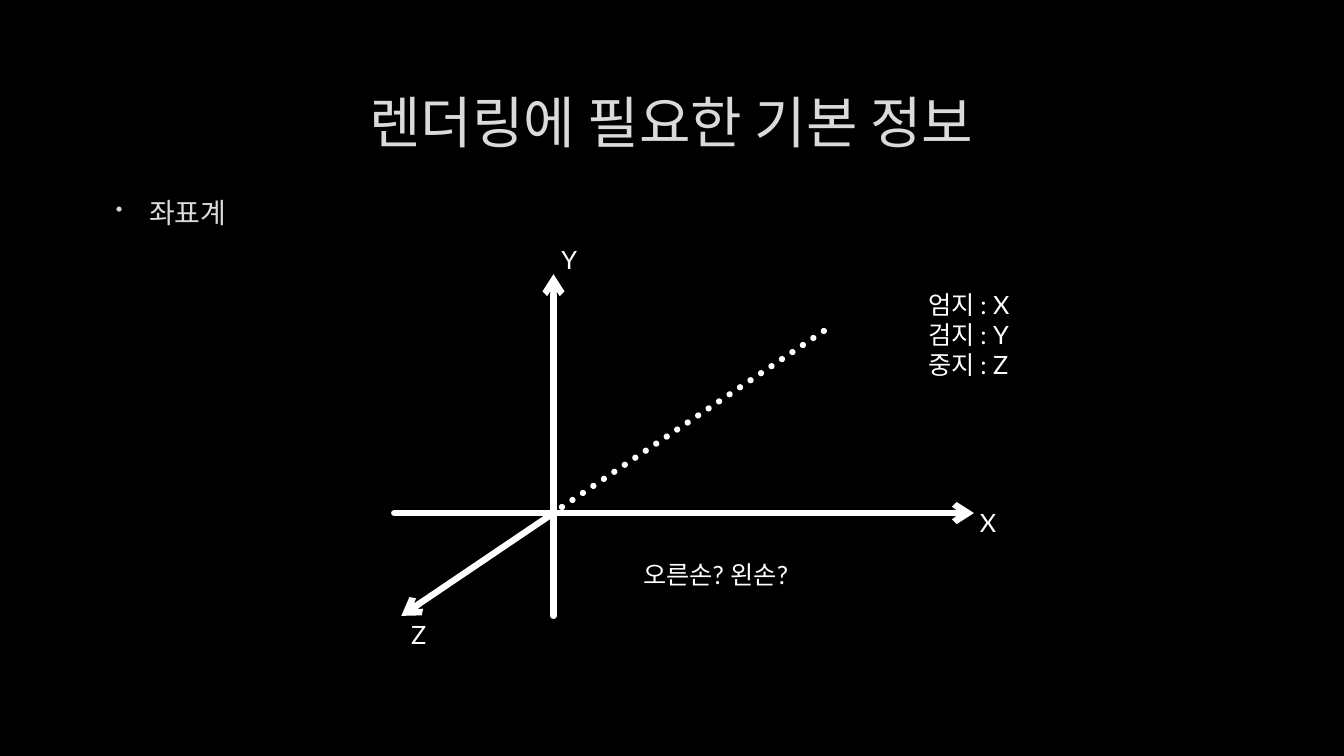
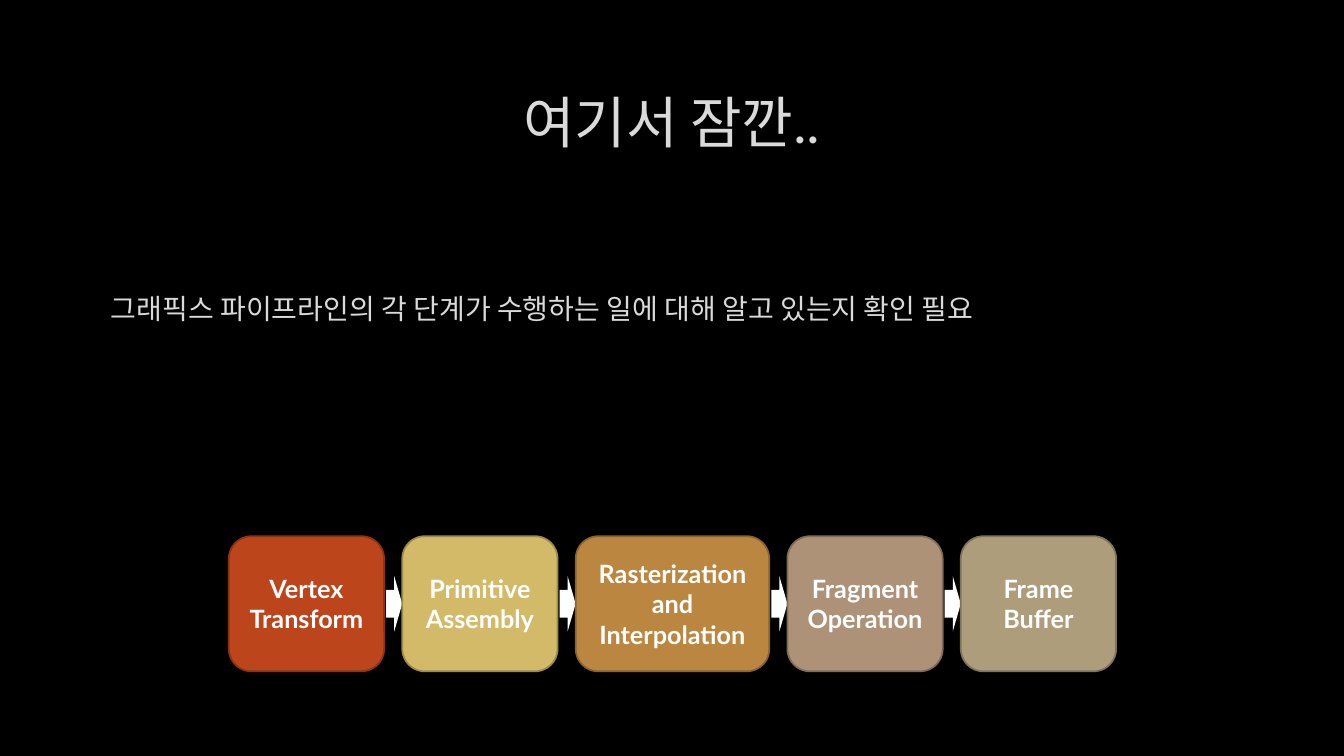
from dataclasses import dataclass

from lxml.etree import SubElement
from pptx import Presentation
from pptx.dml.color import RGBColor
from pptx.enum.dml import MSO_LINE
from pptx.enum.shapes import MSO_CONNECTOR, MSO_SHAPE
from pptx.enum.text import MSO_ANCHOR, PP_ALIGN
from pptx.oxml.ns import qn
from pptx.util import Inches, Pt


@dataclass(frozen=True)
class Theme:
    font: str = "Lato"
    background: str = "000000"
    heading: str = "DADADA"
    white: str = "FFFFFF"
    title_size: float = 40
    body_size: float = 20
    label_size: float = 18
    axis_width: float = 4.5
    border_width: float = 1.25


THEME = Theme()
CONTENT_LEFT, CONTENT_WIDTH = 1, 11.32

AXES = [
    ((3.91, 5.09), (9.66, 5.09), False),
    ((5.49, 6.11), (5.49, 2.72), False),
    ((5.47, 5.1), (8.25, 3.23), True),
    ((5.49, 5.09), (3.98, 6.11), False),
]
LABELS = [
    ("X", 9.62, 4.98, 0.43, 0.4),
    ("Z", 3.98, 6.09, 0.43, 0.4),
    ("Y", 5.47, 2.37, 0.43, 0.4),
    ("오른손? 왼손?", 6.28, 5.5, 2.05, 0.4),
    ("엄지 : X\v검지 : Y\n중지 : Z", 9.11, 2.82, 2.14, 1.01),
]
STAGES = [
    ("Vertex Transform", 1.54, "BC451B", "8B3314"),
    ("Primitive Assembly", 1.54, "D3BA68", "9C8A4D"),
    ("Rasterization and Interpolation", 1.92, "BB8640", "8A632F"),
    ("Fragment Operation", 1.54, "AD9277", "806C58"),
    ("Frame Buffer", 1.54, "AD9D7B", "80745B"),
]
STAGE_LEFT, STAGE_TOP, STAGE_HEIGHT, STAGE_GAP = 2.27, 5.32, 1.34, 0.18
ARROW_WIDTH, ARROW_HEIGHT = 0.16, 0.55


def rgb(value):
    return RGBColor.from_string(value)


def write(frame, text, size, color, align=PP_ALIGN.LEFT, bold=False):
    frame.word_wrap = True
    frame.text = text
    for paragraph in frame.paragraphs:
        paragraph.alignment = align
        for run in paragraph.runs:
            run.font.name = THEME.font
            run.font.size = Pt(size)
            run.font.bold = bold
            run.font.color.rgb = rgb(color)


def add_text(slide, text, left, top, width, height, size=THEME.label_size,
             color=THEME.white, align=PP_ALIGN.LEFT, anchor=MSO_ANCHOR.TOP):
    box = slide.shapes.add_textbox(*map(Inches, (left, top, width, height)))
    write(box.text_frame, text, size, color, align)
    box.text_frame.vertical_anchor = anchor
    return box.text_frame


def add_title(slide, text):
    add_text(slide, text, CONTENT_LEFT, 0.67, CONTENT_WIDTH, 1.06,
             THEME.title_size, THEME.heading, PP_ALIGN.CENTER, MSO_ANCHOR.MIDDLE)


def add_body(slide, text, top, height):
    return add_text(slide, text, CONTENT_LEFT, top, CONTENT_WIDTH, height,
                    THEME.body_size, THEME.heading)


def add_bullet(paragraph):
    properties = paragraph._p.get_or_add_pPr()
    properties.set("marL", str(Inches(0.38)))
    properties.set("indent", str(Inches(-0.33)))
    SubElement(properties, qn("a:buSzPct")).set("val", "70000")
    SubElement(properties, qn("a:buChar")).set("char", "•")


def add_axis(slide, start, end, dotted):
    axis = slide.shapes.add_connector(
        MSO_CONNECTOR.STRAIGHT, *map(Inches, (*start, *end)))
    axis.line.color.rgb = rgb(THEME.white)
    axis.line.width = Pt(THEME.axis_width)
    outline = axis.line._get_or_add_ln()
    outline.set("cap", "rnd")
    if dotted:
        axis.line.dash_style = MSO_LINE.ROUND_DOT
    else:
        SubElement(outline, qn("a:tailEnd")).set("type", "arrow")
    SubElement(axis._element.spPr, qn("a:effectLst"))


def add_filled(slide, kind, left, top, width, height, fill, border=None):
    shape = slide.shapes.add_shape(kind, *map(Inches, (left, top, width, height)))
    shape.shadow.inherit = False
    shape.fill.solid()
    shape.fill.fore_color.rgb = rgb(fill)
    if border:
        shape.line.color.rgb = rgb(border)
        shape.line.width = Pt(THEME.border_width)
    else:
        shape.line.fill.background()
    return shape


def add_pipeline(slide):
    left = STAGE_LEFT
    arrow_top = STAGE_TOP + (STAGE_HEIGHT - ARROW_HEIGHT) / 2
    for index, (name, width, fill, border) in enumerate(STAGES):
        if index:
            add_filled(slide, MSO_SHAPE.RIGHT_ARROW, left - ARROW_WIDTH, arrow_top,
                       ARROW_WIDTH, ARROW_HEIGHT, THEME.white)
        stage = add_filled(slide, MSO_SHAPE.ROUNDED_RECTANGLE, left, STAGE_TOP,
                           width, STAGE_HEIGHT, fill, border)
        write(stage.text_frame, name, THEME.label_size, THEME.white,
              PP_ALIGN.CENTER, bold=True)
        stage.text_frame.vertical_anchor = MSO_ANCHOR.MIDDLE
        left += width + STAGE_GAP


def build_coordinates(slide):
    add_title(slide, "렌더링에 필요한 기본 정보")
    topic = add_body(slide, "좌표계", 1.89, 4.44)
    add_bullet(topic.paragraphs[0])
    for axis in AXES:
        add_axis(slide, *axis)
    for label in LABELS:
        add_text(slide, *label)


def build_pipeline(slide):
    add_title(slide, "여기서 잠깐..")
    add_body(slide, "그래픽스 파이프라인의 각 단계가 수행하는 일에 대해 알고 있는지 확인 필요",
             2.84, 0.5)
    add_pipeline(slide)


def main():
    deck = Presentation()
    deck.slide_width, deck.slide_height = Inches(13.33), Inches(7.5)
    backdrop = deck.slide_master.background.fill
    backdrop.solid()
    backdrop.fore_color.rgb = rgb(THEME.background)
    blank = deck.slide_layouts[6]
    for build in (build_coordinates, build_pipeline):
        build(deck.slides.add_slide(blank))
    deck.save("out.pptx")


if __name__ == "__main__":
    main()
